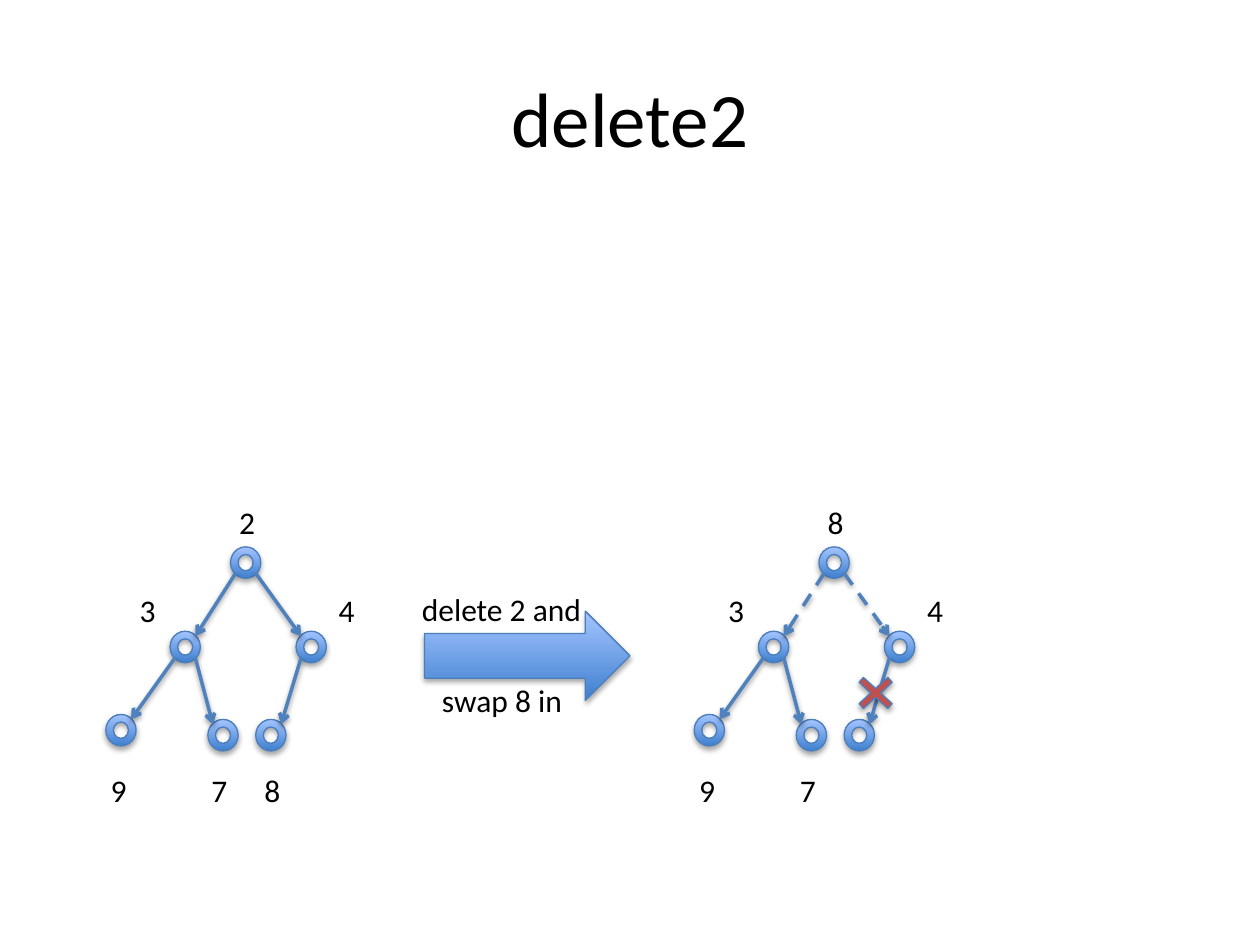
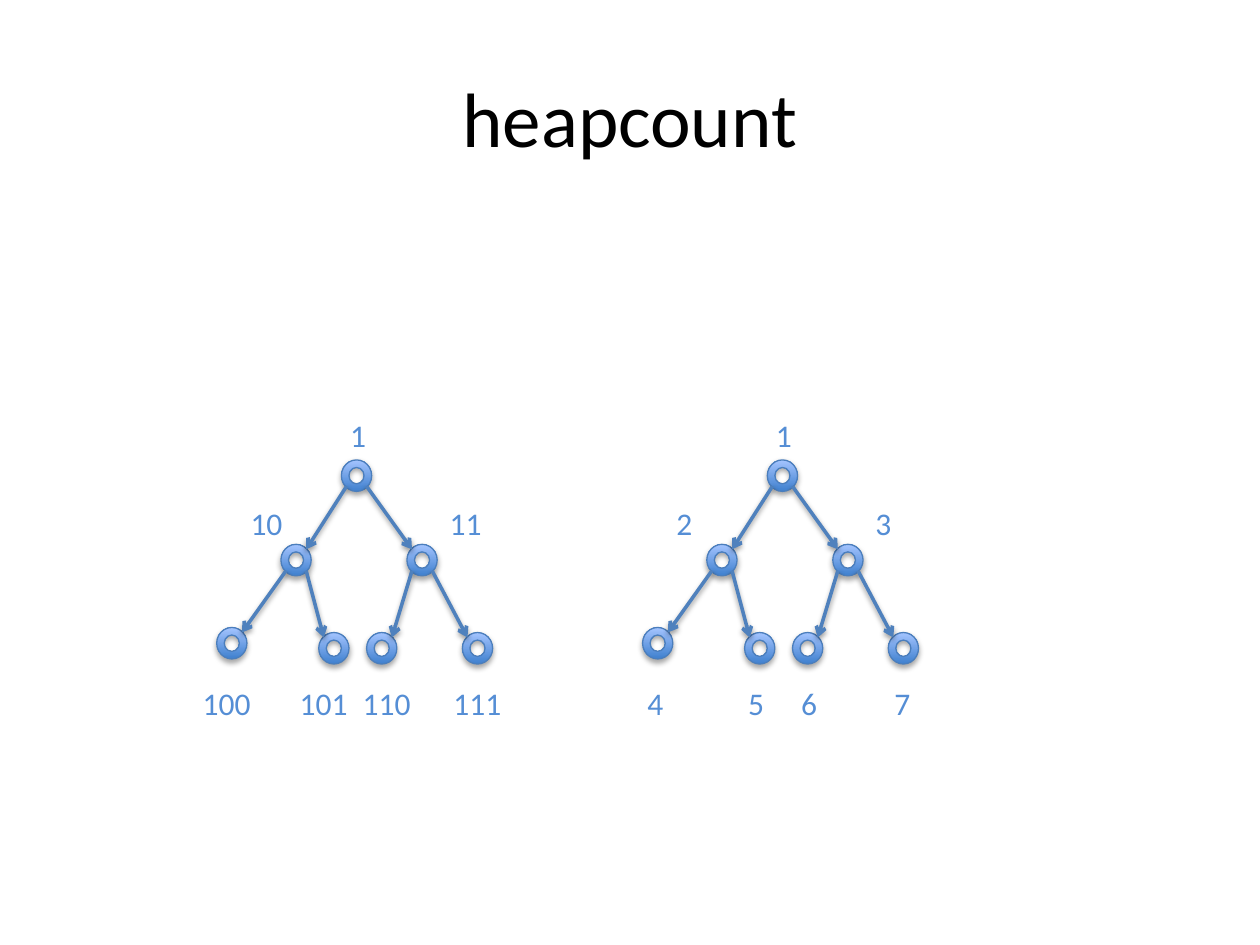
import pptx
import pptx.dml.color
import pptx.enum.dml
import pptx.enum.shapes
import pptx.enum.text
import pptx.oxml
import pptx.oxml.ns
import pptx.util

Inches = pptx.util.Inches
Shapes = pptx.enum.shapes.MSO_SHAPE
Text = pptx.enum.text

BLACK = "000000"
LABEL_BLUE = "558ED5"
EDGE_BLUE = "4F81BD"
OUTLINE_BLUE = "4B7EBC"
GRADIENT = ("3F80CE", "A4C4FF")
CROSS_RED = "C0504D"

NODE_WIDTH, NODE_HEIGHT = 0.24, 0.25
NODES = {
    "root": (0.99, 0),
    "left": (0.51, 0.67),
    "right": (1.51, 0.67),
    "left.left": (0, 1.33),
    "left.right": (0.81, 1.37),
    "right.left": (1.19, 1.37),
    "right.right": (1.95, 1.37),
}
EDGES = [
    ("root", "left"),
    ("root", "right"),
    ("left", "left.left"),
    ("left", "left.right"),
    ("right", "right.left"),
    ("right", "right.right"),
]
LABELS = {
    "root": (0.96, -0.4),
    "left": (0.17, 0.3),
    "right": (1.75, 0.3),
    "left.left": (-0.06, 1.73),
    "left.right": (0.74, 1.73),
    "right.left": (1.16, 1.73),
    "right.right": (1.9, 1.73),
}
THREE_DIGIT_LEFT = {
    "left.left": -0.21,
    "left.right": 0.56,
    "right.left": 1.06,
    "right.right": 1.78,
}


def color(value):
    """Turn a hex string into a colour."""
    return pptx.dml.color.RGBColor.from_string(value)


class HeapDeck:
    """Holds the deck, the current page and the shared style."""

    def __init__(self):
        """Start an empty deck of 10 by 7.5 inches."""
        self.deck = pptx.Presentation()
        self.deck.slide_width, self.deck.slide_height = Inches(10), Inches(7.5)
        self.page = None

    def add_page(self, title):
        """Start a blank page with a centred title."""
        self.page = self.deck.slides.add_slide(self.deck.slide_layouts[6])
        box = self.text(self.page.shapes, title, 0.5, 0.3, 9, 1.25, size=44)
        box.text_frame.word_wrap = True
        box.text_frame.vertical_anchor = Text.MSO_ANCHOR.MIDDLE
        box.text_frame.paragraphs[0].alignment = Text.PP_ALIGN.CENTER

    def text(self, parent, words, left, top, width, height=0.4, size=18, ink=BLACK):
        """Add one unwrapped line of text."""
        box = parent.add_textbox(Inches(left), Inches(top), Inches(width), Inches(height))
        box.text_frame.word_wrap = False
        box.text_frame.text = words
        font = box.text_frame.paragraphs[0].runs[0].font
        font.name, font.size = "Calibri", pptx.util.Pt(size)
        font.color.rgb = color(ink)
        return box

    def shadow(self, shape, opacity, distance):
        """Give a shape or connector a soft shadow below it."""
        namespace = pptx.oxml.ns.nsdecls("a")
        shape.element.spPr.append(pptx.oxml.parse_xml(
            f'<a:effectLst {namespace}><a:outerShdw blurRad="{pptx.util.Pt(3.1)}" '
            f'dist="{pptx.util.Pt(distance)}" dir="5400000" rotWithShape="0">'
            f'<a:srgbClr val="{BLACK}"><a:alpha val="{opacity * 1000}"/></a:srgbClr>'
            '</a:outerShdw></a:effectLst>'))

    def shape(self, parent, kind, left, top, width, height, fill=None):
        """Add a shaded shape, with the blue gradient unless a fill is given."""
        shape = parent.add_shape(kind, Inches(left), Inches(top), Inches(width), Inches(height))
        if fill:
            shape.fill.solid()
            shape.fill.fore_color.rgb = color(fill)
        else:
            shape.fill.gradient()
            shape.fill.gradient_angle = 90
            for stop, value in zip(shape.fill.gradient_stops, GRADIENT):
                stop.color.rgb = color(value)
        shape.line.color.rgb = color(OUTLINE_BLUE)
        shape.line.width = pptx.util.Pt(0.75)
        self.shadow(shape, 35, 1.8)
        return shape

    def edge(self, parent, start, end, dashed=False):
        """Add an arrow between two points."""
        edge = parent.add_connector(
            pptx.enum.shapes.MSO_CONNECTOR.STRAIGHT, *map(Inches, start + end))
        edge.line.color.rgb = color(EDGE_BLUE)
        edge.line.width = pptx.util.Pt(2)
        if dashed:
            edge.line.dash_style = pptx.enum.dml.MSO_LINE.DASH
        line = edge.element.spPr.find(pptx.oxml.ns.qn("a:ln"))
        line.append(pptx.oxml.parse_xml(
            f'<a:tailEnd {pptx.oxml.ns.nsdecls("a")} type="arrow"/>'))
        self.shadow(edge, 38, 1.6)

    def tree(self, left, top, labels, ink=BLACK, hidden=(), dashed_from=None):
        """Add a heap as a group of nodes, edges and labels."""
        parent = self.page.shapes.add_group_shape().shapes
        places = {name: (left + x, top + y) for name, (x, y) in NODES.items()
                  if name not in hidden}
        for x, y in places.values():
            self.shape(parent, Shapes.DONUT, x, y, NODE_WIDTH, NODE_HEIGHT)
        for upper, lower in EDGES:
            if lower in hidden:
                continue
            (x1, y1), (x2, y2) = places[upper], places[lower]
            near, far = (0.04, 0.2) if x2 < x1 else (0.2, 0.04)
            self.edge(parent, (x1 + near, y1 + 0.21), (x2 + far, y2 + 0.04),
                      upper == dashed_from)
        for name, words in labels.items():
            x, y = LABELS[name]
            if len(words) == 3:
                x = THREE_DIGIT_LEFT[name]
            self.text(parent, words, left + x, top + y, 0.2 + 0.13 * len(words), ink=ink)


def main():
    """Build both pages and save the deck."""
    heap = HeapDeck()

    heap.add_page("delete2")
    heap.shape(heap.page.shapes, Shapes.RIGHT_ARROW, 3.37, 4.85, 1.63, 0.71)
    heap.text(heap.page.shapes, "delete 2 and", 3.25, 4.63, 1.48)
    heap.text(heap.page.shapes, "swap 8 in", 3.41, 5.36, 1.17)
    before = dict(zip(NODES, ["2", "3", "4", "9", "7", "8"]))
    after = dict(zip(NODES, ["8", "3", "4", "9", "7"]))
    heap.tree(0.84, 4.34, before, hidden=["right.right"])
    heap.tree(5.51, 4.34, after, hidden=["right.right"], dashed_from="root")
    cross = heap.shape(heap.page.shapes, Shapes.MATH_MULTIPLY, 6.73, 5.3, 0.44, 0.4, CROSS_RED)
    cross.adjustments[0] = 0.13

    heap.add_page("heapcount")
    numbers = range(1, len(NODES) + 1)
    heap.tree(1.72, 3.65, dict(zip(NODES, [f"{n:b}" for n in numbers])), LABEL_BLUE)
    heap.tree(5.1, 3.65, dict(zip(NODES, map(str, numbers))), LABEL_BLUE)

    heap.deck.save("out.pptx")


if __name__ == "__main__":
    main()
